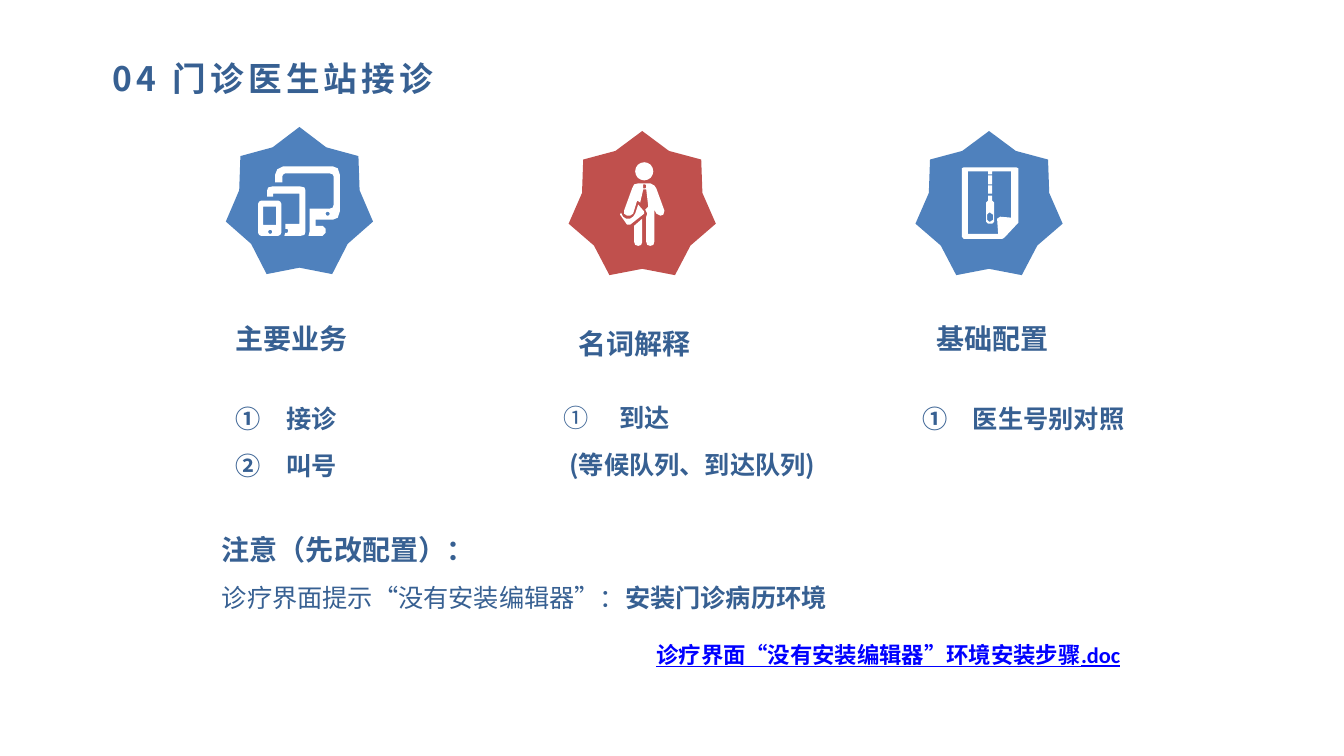
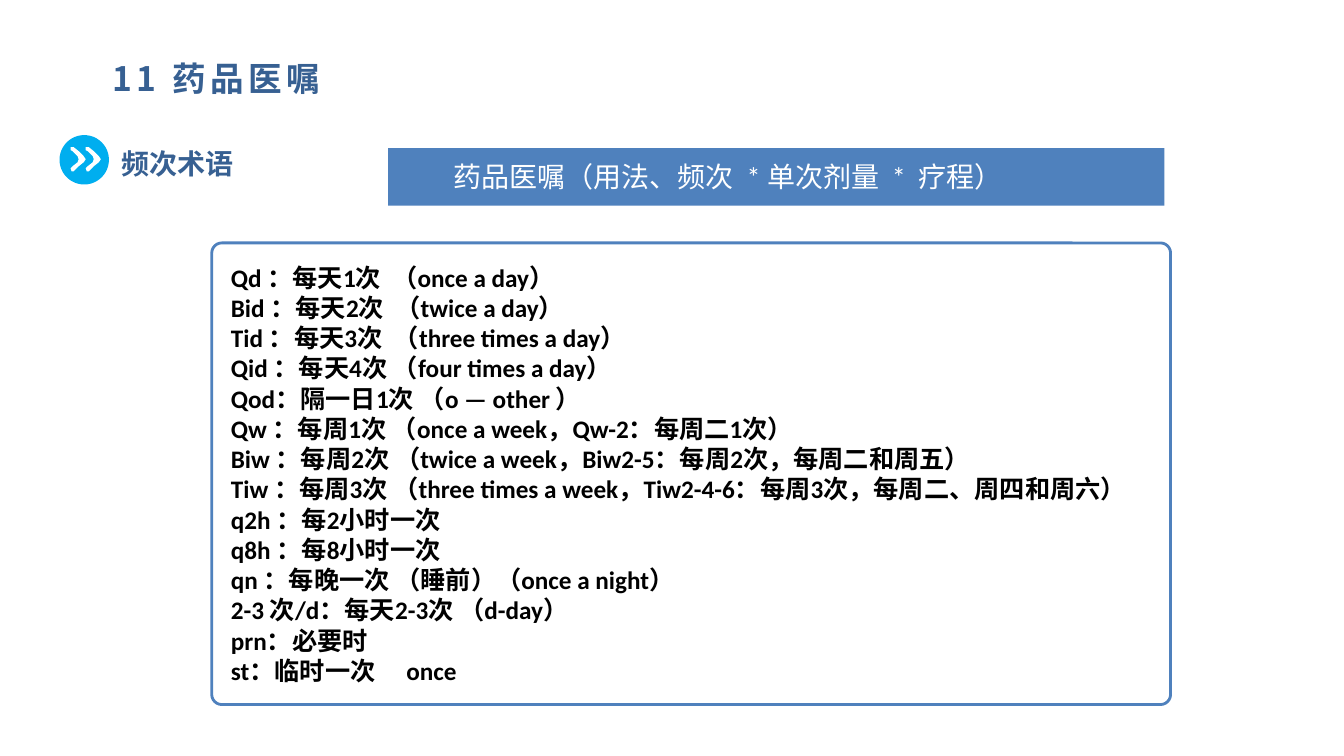
"""Build two slides on outpatient reception and drug order frequencies."""
from math import cos, pi, sin

from lxml import etree
from pptx import Presentation
from pptx.dml.color import RGBColor
from pptx.enum.shapes import MSO_SHAPE
from pptx.enum.text import MSO_ANCHOR, MSO_AUTO_SIZE, PP_ALIGN
from pptx.oxml.ns import qn
from pptx.util import Inches, Pt

STAR, OVAL = MSO_SHAPE.STAR_7_POINT, MSO_SHAPE.OVAL
RECT, ROUND = MSO_SHAPE.RECTANGLE, MSO_SHAPE.ROUNDED_RECTANGLE
TOP, MIDDLE = MSO_ANCHOR.TOP, MSO_ANCHOR.MIDDLE
COLORS = {
    "heading": "376092", "blue": "4F81BD", "red": "C0504D", "white": "FFFFFF",
    "black": "000000", "cyan": "00AEEF", "link": "0000FF",
}
CJK_FONT = "Noto Sans CJK SC"
TITLE_BOX = (0.92, 0.52, 10.21, 0.58)


def add_part(slide, fill, form, *geometry):
    """Add a filled preset (left, top, width, height, adjustment) or outline (contours)."""
    if form == "outline":
        contours = [[(x * 1000, y * 1000) for x, y in contour] for contour in geometry]
        builder = slide.shapes.build_freeform(*contours[0][0], scale=Inches(1) / 1000)
        builder.add_line_segments(contours[0][1:], close=True)
        for contour in contours[1:]:
            builder.move_to(*contour[0])
            builder.add_line_segments(contour[1:], close=True)
        part = builder.convert_to_shape()
    else:
        part = slide.shapes.add_shape(form, *map(Inches, geometry[:4]))
        if len(geometry) > 4:
            part.adjustments[0] = geometry[4]
    part.shadow.inherit = False
    part.fill.solid()
    part.fill.fore_color.rgb = RGBColor.from_string(COLORS[fill])
    part.line.fill.background()
    return part


def write(holder, paragraphs, box=None, anchor=TOP, inset=(0.1, 0.05), **base):
    """Fill a shape with paragraphs, each a list of runs and a dict of formats."""
    if box:
        holder.left, holder.top, holder.width, holder.height = map(Inches, box)
    frame = holder.text_frame
    margins = {"margin_left": inset[0], "margin_right": 0.1,
               "margin_top": inset[1], "margin_bottom": inset[1]}
    for attribute, value in margins.items():
        setattr(frame, attribute, Inches(value))
    frame.word_wrap = True
    frame.auto_size = MSO_AUTO_SIZE.NONE
    frame.vertical_anchor = anchor
    for number, (runs, formats) in enumerate(paragraphs):
        look = {"size": 18, "font": "Calibri", "color": "heading", "bold": True,
                "gap": 0, "before": 0, "indent": 0, **base, **formats}
        paragraph = frame.add_paragraph() if number else frame.paragraphs[0]
        properties = paragraph._p.get_or_add_pPr()
        numbered = look.get("numbered")
        properties.set("marL", str(Inches(0.5 if numbered else look["indent"])))
        properties.set("indent", str(Inches(-0.5 if numbered else 0)))
        bullet = etree.SubElement(properties, qn("a:buAutoNum" if numbered else "a:buNone"))
        if numbered:
            bullet.set("type", "circleNumDbPlain")
        paragraph.alignment = PP_ALIGN.LEFT
        paragraph.line_spacing = Pt(look["size"] * 1.2)
        paragraph.space_before = Pt((look["before"] or look["gap"]) if number else 0)
        paragraph.space_after = Pt(look["gap"])
        for text, bold in runs:
            run = paragraph.add_run()
            run.text = text
            values = {"size": Pt(look["size"]), "name": look["font"],
                      "bold": look["bold"] if bold is None else bold,
                      "underline": look.get("underline", False)}
            for attribute, value in values.items():
                setattr(run.font, attribute, value)
            run.font.color.rgb = RGBColor.from_string(COLORS[look["color"]])
            run_properties = run._r.get_or_add_rPr()
            run_properties.set("spc", str(look.get("tracking", 0)))
            etree.SubElement(run_properties, qn("a:ea"), typeface=CJK_FONT)


presentation = Presentation()
presentation.slide_width, presentation.slide_height = Inches(13.33), Inches(7.5)
pages = []
for layout_index, title in [(4, "04 门诊医生站接诊"), (1, "11 药品医嘱")]:
    page = presentation.slides.add_slide(presentation.slide_layouts[layout_index])
    write(page.shapes.title, [([(title, None)], {})], TITLE_BOX, inset=(0.2, 0.05),
          size=24, font=CJK_FONT, tracking=300)
    pages.append(page)
reception, orders = pages

for left, top, height, color in [(2.24, 1.26, 1.46, "blue"), (5.64, 1.3, 1.43, "red"),
                                 (9.08, 1.3, 1.43, "blue")]:
    add_part(reception, color, STAR, left, top, 1.46, height, 0.409)

phone_button, monitor_button, head = [
    [(x + radius * cos(step * pi / 8), y + radius * sin(step * pi / 8)) for step in range(16)]
    for x, y, radius in [(2.68, 2.3, 0.02), (3.25, 2.12, 0.02), (6.39, 1.7, 0.09)]
]
phone = [(2.59, 1.99), (2.76, 1.99), (2.78, 2), (2.79, 2.02), (2.79, 2.31), (2.78, 2.33),
         (2.76, 2.34), (2.59, 2.34), (2.57, 2.33), (2.56, 2.31), (2.56, 2.02), (2.57, 2)]
phone_screen = [(2.61, 2.05), (2.61, 2.23), (2.74, 2.23), (2.74, 2.05)]
tablet = [(2.7, 1.85), (2.98, 1.85), (3.02, 1.86), (3.03, 1.89), (3.03, 2.3), (3.02, 2.33),
          (2.98, 2.34), (2.82, 2.34), (2.83, 2.31), (2.85, 2.31), (2.86, 2.29), (2.85, 2.27),
          (2.83, 2.27), (2.83, 2.22), (2.97, 2.22), (2.97, 1.92), (2.71, 1.92),
          (2.71, 1.95), (2.65, 1.95), (2.65, 1.89), (2.66, 1.86)]
monitor = [(2.81, 1.65), (3.3, 1.65), (3.35, 1.67), (3.37, 1.73), (3.37, 2.1), (3.35, 2.16),
           (3.3, 2.18), (3.13, 2.18), (3.13, 2.24), (3.2, 2.24), (3.23, 2.27), (3.23, 2.31),
           (3.2, 2.34), (3.06, 2.34), (3.07, 2.3), (3.07, 2.07), (3.27, 2.07), (3.3, 2.06),
           (3.31, 2.03), (3.31, 1.75), (3.3, 1.73), (3.27, 1.72), (2.83, 1.72), (2.81, 1.73),
           (2.8, 1.75), (2.8, 1.81), (2.73, 1.81), (2.73, 1.73), (2.75, 1.68)]
left_leg = [(6.37, 2.17), (6.37, 2.4), (6.36, 2.43), (6.33, 2.44), (6.3, 2.43),
            (6.29, 2.4), (6.29, 2.24)]
bag = [(6.33, 2.03), (6.39, 2.1), (6.39, 2.12), (6.25, 2.23), (6.22, 2.23), (6.15, 2.13),
       (6.16, 2.11), (6.18, 2.15), (6.21, 2.17), (6.25, 2.17), (6.28, 2.15), (6.3, 2.12)]
body = [(6.33, 1.82), (6.45, 1.82), (6.49, 1.84), (6.51, 1.87), (6.59, 2.09), (6.58, 2.13),
        (6.55, 2.14), (6.51, 2.12), (6.49, 2.08), (6.49, 2.4), (6.48, 2.43), (6.45, 2.44),
        (6.42, 2.43), (6.41, 2.4), (6.41, 2.15), (6.42, 2.12), (6.4, 2.08), (6.43, 2.05),
        (6.41, 1.88), (6.38, 1.88), (6.35, 2.01), (6.32, 1.99), (6.28, 2.12), (6.25, 2.14),
        (6.22, 2.14), (6.19, 2.12), (6.19, 2.09), (6.27, 1.87), (6.29, 1.83)]
tie_knot = [(6.38, 1.83), (6.38, 1.87), (6.4, 1.87), (6.41, 1.86), (6.41, 1.84), (6.4, 1.83)]
sheet = [(9.56, 1.66), (10.08, 1.66), (10.1, 1.67), (10.1, 2.21), (9.96, 2.36), (9.94, 2.37),
         (9.56, 2.37), (9.54, 2.35), (9.54, 1.67)]
sheet_inside = [(9.6, 1.7), (9.8, 1.7), (9.8, 1.73), (9.84, 1.73), (9.84, 1.7), (10.03, 1.7),
                (10.03, 2.16), (9.92, 2.15), (9.89, 2.17), (9.9, 2.32), (9.6, 2.32)]
teeth = [[(9.8, top), (9.84, top), (9.84, bottom), (9.8, bottom)]
         for top, bottom in [(1.74, 1.83), (1.84, 1.92)]]
zip_pull = [(9.8, 1.94), (9.84, 1.94), (9.84, 1.99), (9.86, 2.01), (9.86, 2.2), (9.84, 2.22),
            (9.8, 2.22), (9.78, 2.2), (9.78, 2.01), (9.8, 1.99)]
pull_hole = [(9.81, 2.11), (9.82, 2.11), (9.85, 2.13), (9.85, 2.18), (9.82, 2.2),
             (9.81, 2.2), (9.79, 2.18), (9.79, 2.13)]
for icon in [
    (phone_button, monitor_button, phone_screen, phone, tablet, monitor),
    (left_leg, bag, tie_knot, body, head),
    (sheet, sheet_inside, *teeth, zip_pull, pull_hole),
]:
    add_part(reception, "white", "outline", *icon)

for heading, left, top in [("主要业务", 2.24, 3.14), ("名词解释", 5.64, 3.19),
                           ("基础配置", 9.19, 3.14)]:
    heading_box = reception.shapes.add_textbox(*map(Inches, (left, top, 2.2, 0.4)))
    write(heading_box, [([(heading, None)], {})], size=20, font=CJK_FONT)

numbered = {"numbered": True}
bodies = [
    ((2.24, 3.95, 2.05, 0.87), "Arial",
     [([("接诊", None)], numbered), ([("叫号", None)], numbered)]),
    ((5.49, 3.94, 2.87, 2.83), "Arial",
     [([(" ", False), ("到达", True)], numbered),
      ([(" (等候队列、到达队列)", None)], {"font": CJK_FONT})]),
    ((9.05, 3.95, 2.45, 0.63), "Arial", [([("医生号别对照", None)], numbered)]),
    ((2.1, 5.23, 11.01, 1.48), "Calibri",
     [([("注意（先改配置）：", None)], {"size": 20}),
      ([("诊疗界面提示“没有安装编辑器”：", False), ("安装门诊病历环境", True)], {}),
      ([("诊疗界面“没有安装编辑器”环境安装步骤.doc", None)],
       {"size": 16, "color": "link", "underline": True, "indent": 4.31, "before": 14})]),
]
for body_index, (box, font, paragraphs) in enumerate(bodies, 1):
    write(reception.placeholders[body_index], paragraphs, box, font=font, gap=6)

add_part(orders, "cyan", OVAL, 0.59, 1.34, 0.49, 0.49)
chevron = [(0.98, 1.61), (0.93, 1.65), (0.88, 1.7), (0.86, 1.7), (0.85, 1.67), (0.87, 1.65),
           (0.92, 1.61), (0.93, 1.58), (0.92, 1.55), (0.87, 1.5), (0.85, 1.49), (0.85, 1.46),
           (0.88, 1.46), (0.93, 1.5), (0.98, 1.55), (1, 1.58)]
for shift in (0, 0.15):
    add_part(orders, "white", "outline", [(x - shift, y) for x, y in chevron])
topic = orders.shapes.add_textbox(*map(Inches, (1.11, 1.4, 3.39, 0.44)))
write(topic, [([("频次术语", None)], {})], size=20)

add_part(orders, "blue", RECT, 3.85, 1.47, 7.7, 0.57)
formula = orders.shapes.add_textbox(*map(Inches, (4.4, 1.53, 6.8, 0.44)))
write(formula, [([("药品医嘱（用法、频次  * 单次剂量  *  疗程）", None)], {})],
      size=20, color="white", bold=False)

frequencies = [
    "Qd ：每天1次  （once a day）",
    "Bid ：每天2次  （twice a day）",
    "Tid ：每天3次  （three times a day）",
    "Qid ：每天4次 （four times a day）",
    "Qod：隔一日1次 （o — other ）",
    "Qw ：每周1次 （once a week，Qw-2：每周二1次）",
    "Biw ：每周2次 （twice a week，Biw2-5：每周2次，每周二和周五）",
    "Tiw ：每周3次 （three times a week，Tiw2-4-6：每周3次，每周二、周四和周六）",
    "q2h ：每2小时一次",
    "q8h ：每8小时一次",
    "qn ：每晚一次 （睡前）（once a night）",
    "2-3 次/d：每天2-3次 （d-day）",
    "prn：必要时",
    "st：临时一次　 once",
]
frequency_box = (2.1, 2.41, 9.51, 4.58)
border = add_part(orders, "white", ROUND, *frequency_box, 0.022)
border.line.color.rgb = RGBColor.from_string(COLORS["blue"])
border.line.width = Pt(2)
frequency_list = orders.placeholders[1]
orders.shapes._spTree.append(frequency_list._element)
write(frequency_list, [([(line, None)], {}) for line in frequencies], frequency_box,
      anchor=MIDDLE, inset=(0.19, 0.04), color="black")

presentation.save("out.pptx")
